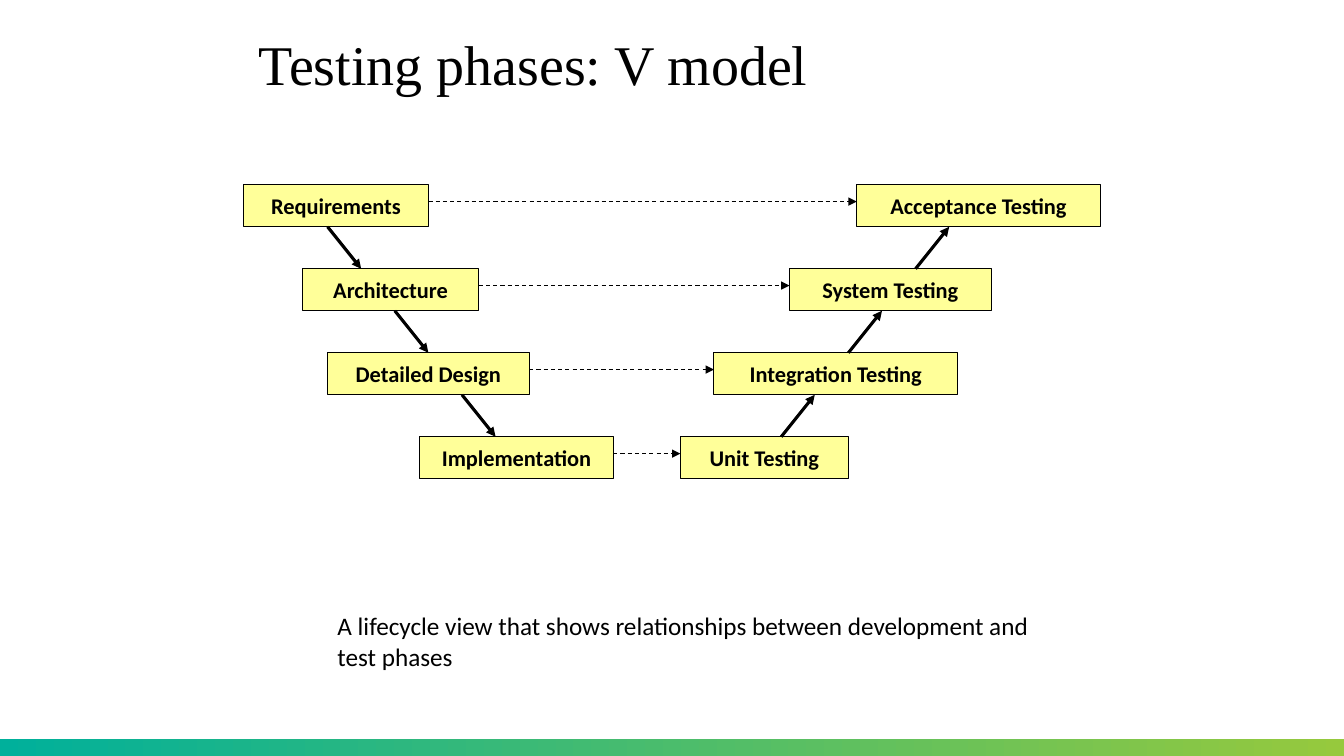
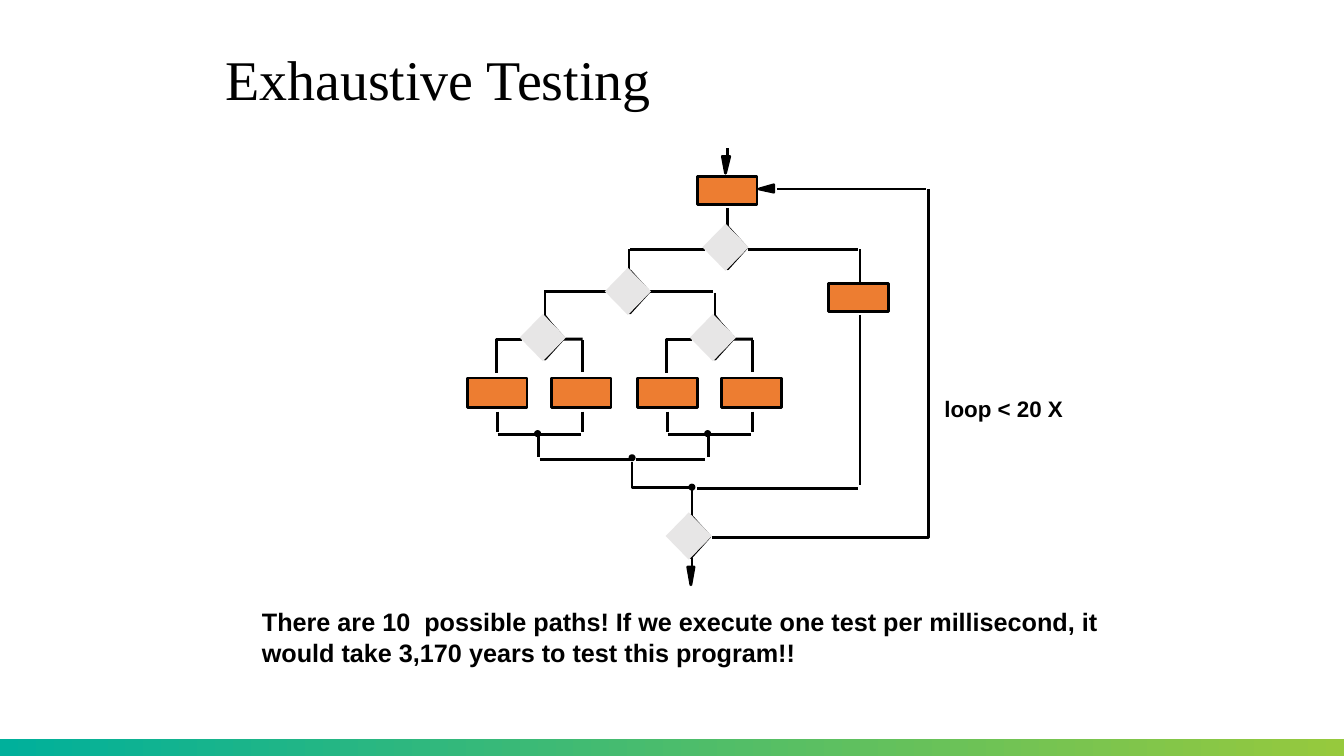
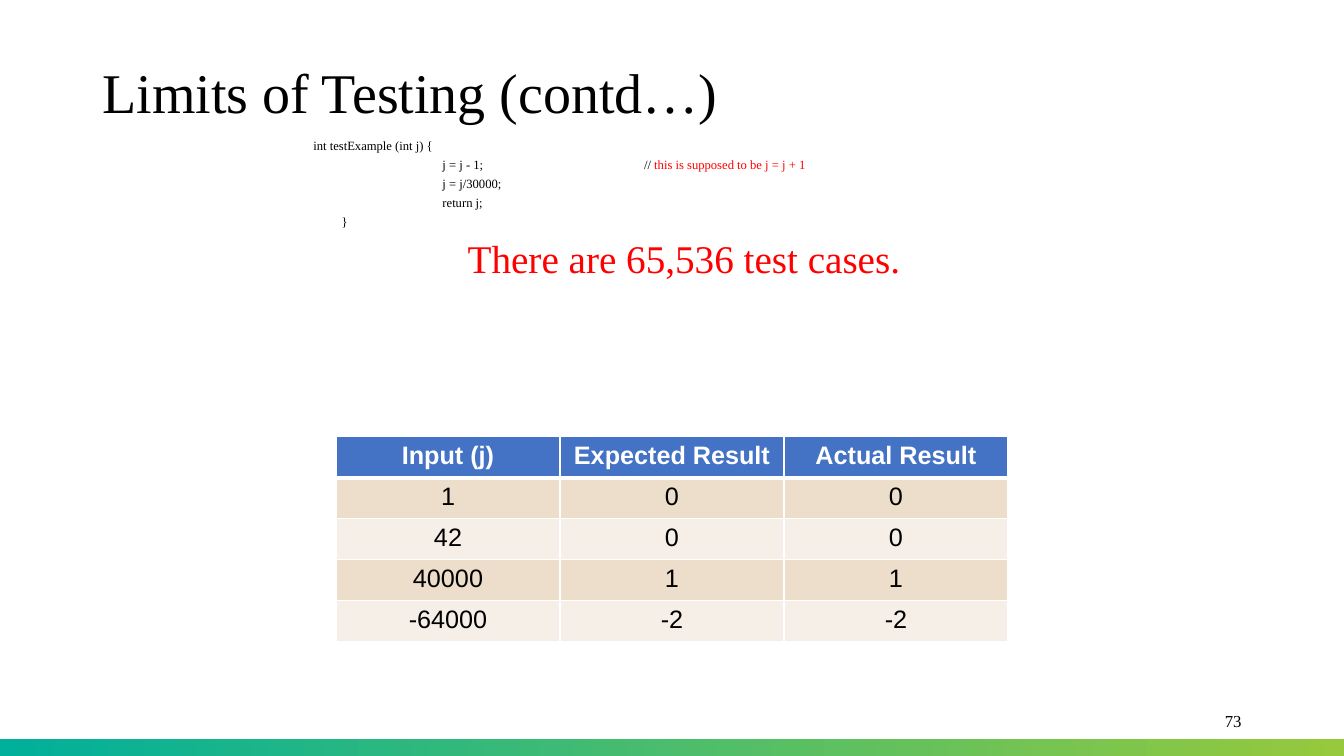
from dataclasses import dataclass

from lxml import etree
from pptx import Presentation
from pptx.dml.color import RGBColor
from pptx.enum.dml import MSO_LINE
from pptx.enum.shapes import MSO_CONNECTOR, MSO_SHAPE
from pptx.enum.text import MSO_ANCHOR, MSO_AUTO_SIZE, PP_ALIGN
from pptx.oxml.ns import qn
from pptx.util import Pt

PX = 9525  # EMU per pixel, 96 pixels to the inch
TITLE_ONLY = 5
RECT, DIAMOND, OVAL = MSO_SHAPE.RECTANGLE, MSO_SHAPE.DIAMOND, MSO_SHAPE.OVAL
STRAIGHT = MSO_CONNECTOR.STRAIGHT
DASH = MSO_LINE.DASH
LEFT, CENTER, RIGHT = PP_ALIGN.LEFT, PP_ALIGN.CENTER, PP_ALIGN.RIGHT
TOP, MIDDLE = MSO_ANCHOR.TOP, MSO_ANCHOR.MIDDLE
NO_AUTOFIT = MSO_AUTO_SIZE.NONE


@dataclass(frozen=True)
class Theme:
    # Colours
    ink: str = "000000"
    white: str = "FFFFFF"
    alert: str = "FF0000"
    band_start: str = "00B09B"
    band_end: str = "96C93D"
    phase: str = "FFFF99"
    process: str = "ED7D31"
    decision: str = "E7E6E6"
    header: str = "4472C4"
    row_dark: str = "ECDECB"
    row_light: str = "F6EFE7"
    # Fonts
    serif: str = "Times New Roman"
    sans: str = "Calibri"
    arial: str = "Arial"
    # Type sizes
    title: int = 40
    callout: int = 28
    body: int = 18
    label: int = 16
    number: int = 12
    code: int = 9
    # Line widths
    thin: float = 0.75
    flow: float = 2
    phase_arrow: float = 2.25


THEME = Theme()


def rgb(color):
    return RGBColor.from_string(color)


def px(*lengths):
    return [round(length * PX) for length in lengths]


# Text
def format_paragraph(paragraph, font, size, color=THEME.ink, bold=False, align=LEFT):
    paragraph.alignment = align
    for run in paragraph.runs:
        run.font.name = font
        run.font.size = Pt(size)
        run.font.bold = bold
        run.font.color.rgb = rgb(color)


def add_text(slide, box, text, font, size, anchor=TOP, wrap=True, **style):
    frame = slide.shapes.add_textbox(*px(*box)).text_frame
    frame.word_wrap = wrap
    frame.vertical_anchor = anchor
    frame.text = text
    for paragraph in frame.paragraphs:
        format_paragraph(paragraph, font, size, **style)
    return frame


# Shapes and lines
def paint(shape, fill=None, line=None, width=THEME.flow):
    shape.shadow.inherit = False
    if fill:
        shape.fill.solid()
        shape.fill.fore_color.rgb = rgb(fill)
    else:
        shape.fill.background()
    if line:
        shape.line.color.rgb = rgb(line)
        shape.line.width = Pt(width)
    else:
        shape.line.fill.background()
    return shape


def add_shape(slide, preset, box, **colors):
    return paint(slide.shapes.add_shape(preset, *px(*box)), **colors)


def add_line(slide, start, end, width=THEME.flow, dash=None, arrow=False):
    connector = slide.shapes.add_connector(STRAIGHT, *px(*start, *end))
    connector.line.color.rgb = rgb(THEME.ink)
    connector.line.width = Pt(width)
    if dash:
        connector.line.dash_style = dash
    properties = connector.element.spPr
    if arrow:
        outline = properties.find(qn("a:ln"))
        etree.SubElement(outline, qn("a:tailEnd"), type="triangle")
    etree.SubElement(properties, qn("a:effectLst"))


def add_path(slide, points, fill=None):
    """Draw an open path, or a closed one when it is filled."""
    builder = slide.shapes.build_freeform(*points[0], scale=PX)
    builder.add_line_segments(points[1:], close=bool(fill))
    paint(builder.convert_to_shape(), fill=fill, line=THEME.ink)


# Shared parts
def add_slide(prs, title, box):
    slide = prs.slides.add_slide(prs.slide_layouts[TITLE_ONLY])
    heading = slide.shapes.title
    heading.left, heading.top, heading.width, heading.height = px(*box)
    frame = heading.text_frame
    frame.text = title
    frame.auto_size = NO_AUTOFIT
    frame.vertical_anchor = MIDDLE
    frame.paragraphs[0].line_spacing = 0.9
    format_paragraph(frame.paragraphs[0], THEME.serif, THEME.title)
    return slide


def add_master_band(prs, slide):
    """Draw the footer band and move it to the master, so every slide has it."""
    band = add_shape(slide, RECT, (0, 704, 1280, 16))
    band.fill.gradient()
    band.fill.gradient_angle = 0
    for stop, color in zip(band.fill.gradient_stops, (THEME.band_start, THEME.band_end)):
        stop.color.rgb = rgb(color)
    band.element.nvSpPr.cNvPr.set("id", "20")
    prs.slide_master.element.cSld.spTree.append(band.element)


# V model
def add_phase(slide, left, top, width, name):
    phase = add_shape(slide, RECT, (left, top, width, 40),
                      fill=THEME.phase, line=THEME.ink, width=THEME.thin)
    frame = phase.text_frame
    frame.word_wrap = False
    frame.vertical_anchor = MIDDLE
    frame.text = name
    format_paragraph(frame.paragraphs[0], THEME.sans, THEME.label, bold=True, align=CENTER)


def build_v_model(slide):
    levels = [
        # left, width and name of the development phase, then of its test phase
        ((232, 176, "Requirements"), (816, 232, "Acceptance Testing")),
        ((288, 168, "Architecture"), (752, 192, "System Testing")),
        ((312, 192, "Detailed Design"), (680, 232, "Integration Testing")),
        ((400, 184, "Implementation"), (648, 160, "Unit Testing")),
    ]
    for level, (development, test) in enumerate(levels):
        top = 176 + 80 * level
        for left, width, name in (development, test):
            add_phase(slide, left, top, width, name)
        add_line(slide, (development[0] + development[1], top + 16),
                 (test[0], top + 16), THEME.thin, DASH, arrow=True)

    # Arrows down the left arm and up the right arm
    for gap in range(len(levels) - 1):
        upper = 216 + 80 * gap
        lower = upper + 40
        down, up = 312 + 64 * gap, 872 - 64 * gap
        add_line(slide, (down, upper), (down + 32, lower), THEME.phase_arrow, arrow=True)
        add_line(slide, (up, lower), (up + 32, upper), THEME.phase_arrow, arrow=True)

    add_text(slide, (312, 577, 711, 68),
             "A lifecycle view that shows relationships between development and test phases",
             THEME.sans, THEME.body)


# Flow chart
def add_process(slide, left, top, height):
    add_shape(slide, RECT, (left, top, 57, height), fill=THEME.process, line=THEME.ink)


def add_decision(slide, left, top):
    add_shape(slide, DIAMOND, (left + 6, top + 3, 36, 40), line=THEME.ink)
    add_shape(slide, DIAMOND, (left, top, 44, 45), fill=THEME.decision)


def add_junction(slide, x, y):
    add_shape(slide, OVAL, (x - 2, y - 2, 4, 4), fill=THEME.ink, line=THEME.ink)


def add_branch(slide, x):
    """A decision entered at x, with two processes that join again."""
    add_line(slide, (x, 279), (x, 300))
    add_path(slide, [(x - 22, 323), (x - 46, 323), (x - 46, 355)])
    add_path(slide, [(x - 19, 323), (x, 301), (x + 17, 323), (x + 36, 323)])
    add_line(slide, (x + 36, 324), (x + 36, 354))
    for left in (x - 74, x + 6):
        add_process(slide, left, 360, 28)
    for exit_x in (x - 45, x + 36):
        add_line(slide, (exit_x, 392), (exit_x, 411))
    add_line(slide, (x - 45, 414), (x + 34, 414))
    add_line(slide, (x - 6, 414), (x - 6, 435))
    add_junction(slide, x - 7, 413)
    add_decision(slide, x - 24, 299)


def build_flow_chart(slide):
    straight_flows = [
        ((693, 141), (693, 152)),  # entry
        ((693, 198), (693, 216)),
        ((671, 238), (600, 238)),  # first decision
        ((712, 238), (817, 238)),
        ((599, 258), (599, 237)),
        ((819, 269), (819, 237)),
        ((582, 278), (518, 278)),  # second decision
        ((618, 278), (679, 278)),
        ((514, 438), (601, 438)),  # joins
        ((671, 438), (606, 438)),
        ((819, 300), (819, 462)),
        ((664, 465), (817, 465)),
        ((659, 491), (659, 464)),
        ((659, 531), (659, 544)),  # exit
        ((740, 180), (882, 180)),  # loop back
    ]
    for start, end in straight_flows:
        add_line(slide, start, end)
    add_path(slide, [(602, 440), (602, 464), (659, 464)])
    add_path(slide, [(678, 512), (884, 512), (884, 180)])

    # Arrowheads at entry, exit and loop
    for head in ([(691, 165), (688, 149), (695, 149)],
                 [(658, 557), (655, 540), (661, 540)],
                 [(723, 180), (737, 176), (737, 183)]):
        add_path(slide, head, fill=THEME.ink)

    for left, top in ((664, 168), (789, 270)):
        add_process(slide, left, top, 27)
    for entry in (519, 681):
        add_branch(slide, entry)
    for x, y in ((602, 436), (659, 464)):
        add_junction(slide, x, y)
    for left, top in ((669, 213), (576, 255), (634, 488)):
        add_decision(slide, left, top)

    add_text(slide, (890, 372, 133, 36), "loop < 20 X",
             THEME.arial, THEME.label, wrap=False, bold=True)
    add_text(slide, (240, 573, 835, 67),
             "There are 10  possible paths! If we execute one test per millisecond, "
             "it would take 3,170 years to test this program!!",
             THEME.arial, THEME.body, bold=True)


# Code and table
def indent(paragraph, margin, before):
    paragraph.line_spacing = 0.9
    paragraph.space_before = Pt(before)
    properties = paragraph._p.get_or_add_pPr()
    hanging, tab = 27, 96
    properties.set("marL", str(margin * PX))
    properties.set("indent", str(-hanging * PX))
    properties.set("defTabSz", str(tab * PX))


def add_code(slide):
    remark = "this is supposed to be j = j + 1"
    lines = ["int testExample (int j) {", "\t\tj = j - 1;\t\t// ", "\t\tj = j/30000;",
             "\t\treturn j;", "\t}", "\t\t\tThere are 65,536 test cases."]
    frame = add_text(slide, (208, 128, 864, 264), "\n".join(lines), THEME.serif, THEME.code)
    *code, callout = frame.paragraphs
    for paragraph in code:
        indent(paragraph, 108, 3.8)
    code[1].add_run().text = remark
    format_paragraph(code[1], THEME.serif, THEME.code)
    code[1].runs[-1].font.color.rgb = rgb(THEME.alert)
    indent(callout, 36, 7.5)
    format_paragraph(callout, THEME.serif, THEME.callout, THEME.alert)


def set_borders(cell, top, bottom):
    properties = cell._tc.get_or_add_tcPr()
    for side, width in (("L", 1), ("R", 1), ("T", top), ("B", bottom)):
        border = etree.SubElement(properties, qn(f"a:ln{side}"), w=str(Pt(width)))
        fill = etree.SubElement(border, qn("a:solidFill"))
        etree.SubElement(fill, qn("a:srgbClr"), val=THEME.white)


def add_results(slide):
    rows = [
        ("Input (j)", "Expected Result", "Actual Result"),
        ("1", "0", "0"),
        ("42", "0", "0"),
        ("40000", "1", "1"),
        ("-64000", "-2", "-2"),
    ]
    table = slide.shapes.add_table(len(rows), len(rows[0]), *px(320, 416, 640, 195)).table
    table.horz_banding = False
    for r, row in enumerate(rows):
        is_header = r == 0
        stripe = THEME.row_dark if r % 2 else THEME.row_light
        for c, value in enumerate(row):
            cell = table.cell(r, c)
            cell.text = value
            set_borders(cell, top=3 if r == 1 else 1, bottom=3 if is_header else 1)
            cell.fill.solid()
            cell.fill.fore_color.rgb = rgb(THEME.header if is_header else stripe)
            format_paragraph(cell.text_frame.paragraphs[0], THEME.arial, THEME.body,
                             THEME.white if is_header else THEME.ink,
                             bold=is_header, align=CENTER)


def build_limits(slide):
    add_code(slide)
    add_results(slide)
    add_text(slide, (904, 667, 288, 38), "73", THEME.serif, THEME.number,
             anchor=MIDDLE, align=RIGHT)


def main():
    prs = Presentation()
    prs.slide_width, prs.slide_height = px(1280, 720)

    v_model = add_slide(prs, "Testing phases: V model", (237, 20, 811, 89))
    add_master_band(prs, v_model)
    build_v_model(v_model)
    build_flow_chart(add_slide(prs, "Exhaustive Testing", (205, 37, 869, 82)))
    build_limits(add_slide(prs, "Limits of Testing (contd…)", (88, 38, 1104, 105)))

    prs.save("out.pptx")


if __name__ == "__main__":
    main()
